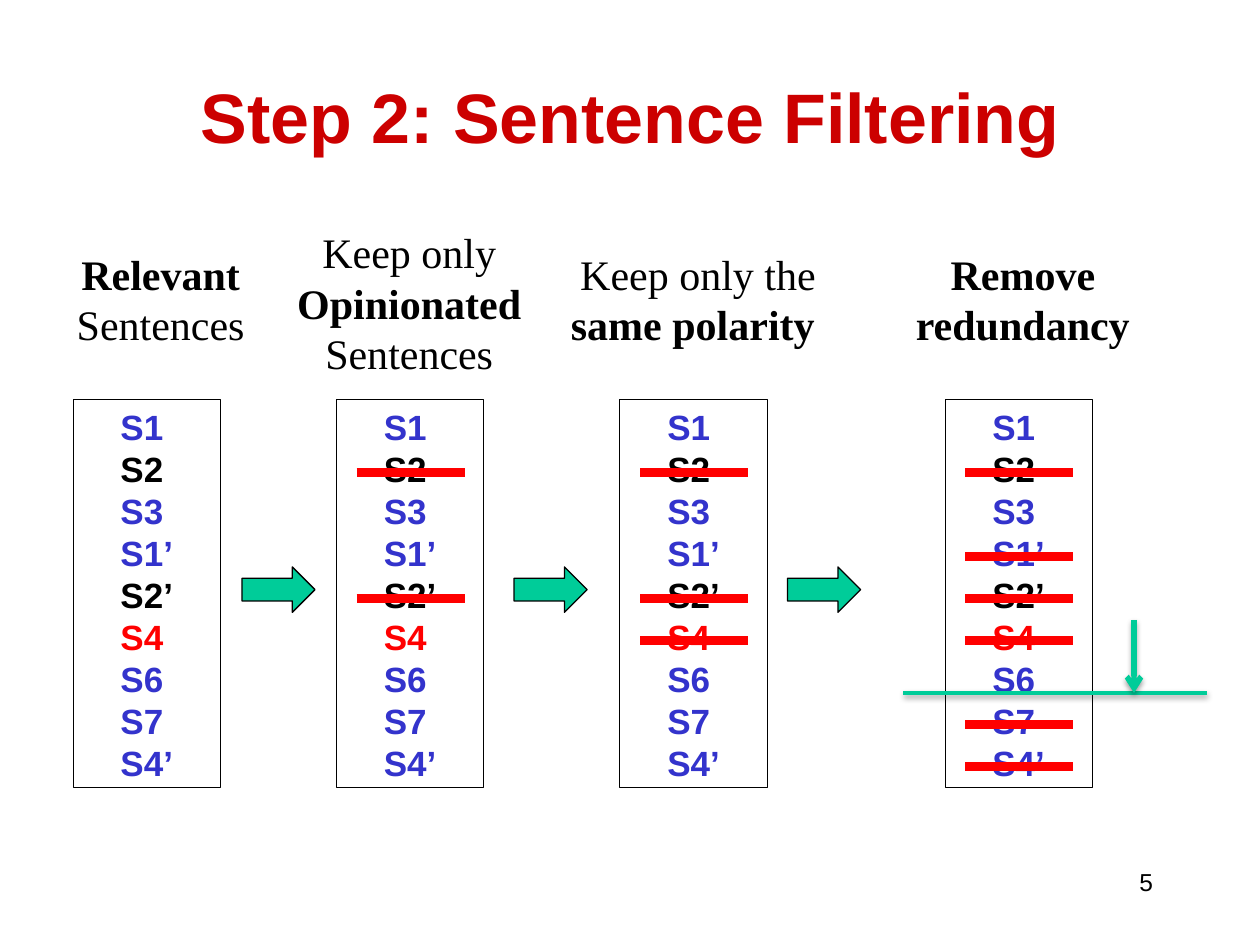
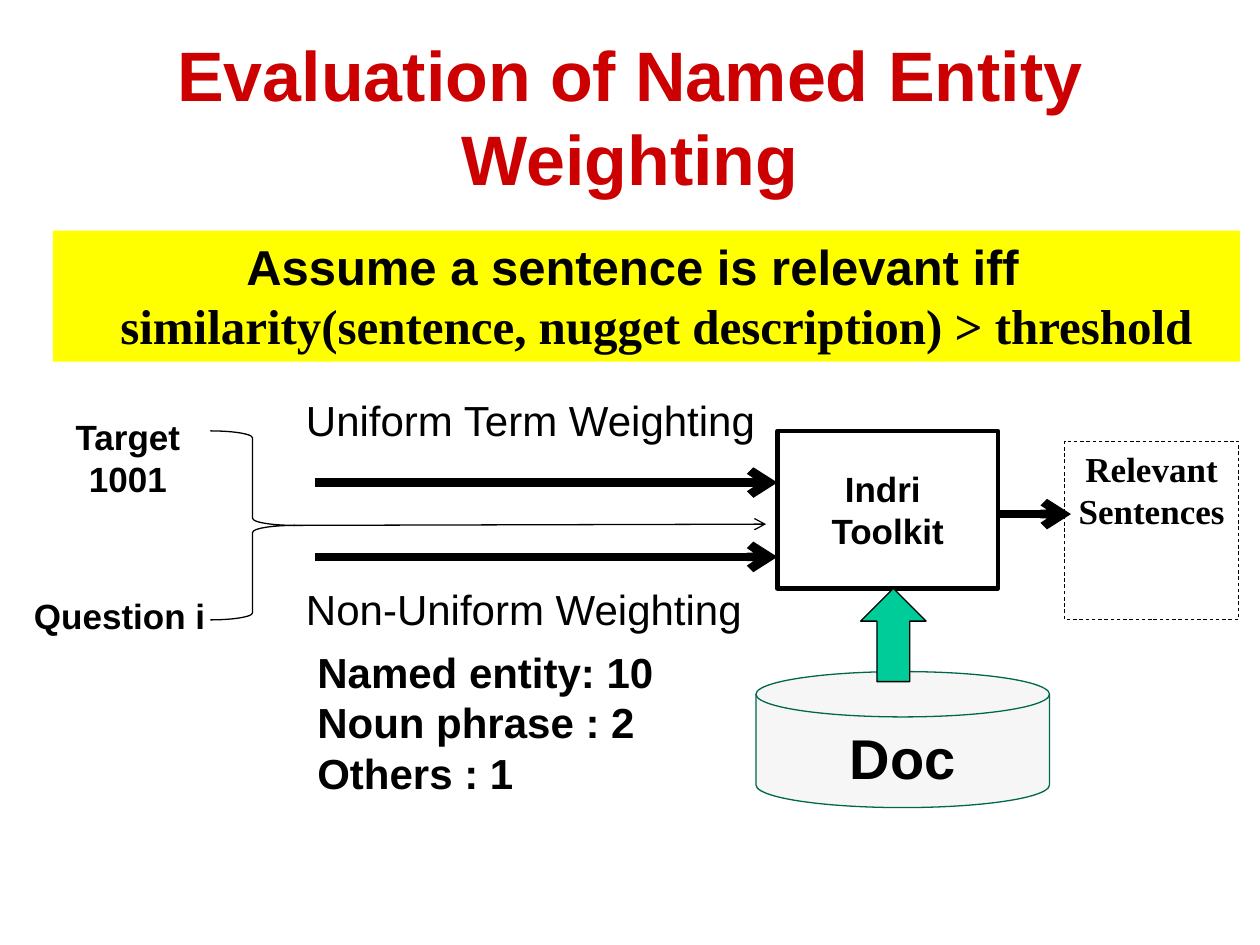
from lxml import etree
from pptx import Presentation
from pptx import util as u
from pptx.dml.color import RGBColor
from pptx.enum import dml, shapes, text
from pptx.oxml.ns import qn

EMU_PER_PX = 9144  # 100 px to the inch
COLORS = {
    "title": "CC0000", "ink": "000000", "paper": "FFFFFF", "positive": "3333CC",
    "negative": "FF0000", "green": "00CC99", "dark_green": "00664D",
    "disk": "F2F2F2", "banner": "FFFF00",
}
SANS, SERIF = "Arial", "Times New Roman"
LEFT, CENTER, RIGHT = text.PP_ALIGN.LEFT, text.PP_ALIGN.CENTER, text.PP_ALIGN.RIGHT
TOP, MIDDLE = text.MSO_ANCHOR.TOP, text.MSO_ANCHOR.MIDDLE
SHAPE = shapes.MSO_SHAPE

# Sentence filtering content
PRIME = "’"
SENTENCES = [("S1", "positive"), ("S2", "ink"), ("S3", "positive"),
             ("S1’", "positive"), ("S2’", "ink"), ("S4", "negative"),
             ("S6", "positive"), ("S7", "positive"), ("S4’", "positive")]
LIST_TOP, ROW_STEP = 317, 100 / 3
# Each step: list left, heading box, heading lines with boldness, struck rows
STEPS = [
    (58, (50, 192, 155, 91), [("Relevant", True), ("Sentences", False)], []),
    (267, (225, 175, 208, 131),
     [("Keep only ", False), ("Opinionated ", True), ("Sentences ", False)], [1, 4]),
    (492, (442, 192, 224, 91),
     [("Keep only the", False), ("same polarity ", True)], [1, 4, 5]),
    (750, (716, 192, 200, 91),
     [("Remove ", True), ("redundancy ", True)], [1, 3, 4, 5, 7, 8]),
]
FLOW_ARROW_LEFTS = [192, 408, 625]


def px(length):
    return u.Emu(round(length * EMU_PER_PX))


def rgb(name):
    return RGBColor.from_string(COLORS[name])


def write(frame, paragraphs, size=20, font=SANS, color="ink", bold=False,
          align=CENTER, anchor=TOP, wrap=True, indent=0, right=10):
    """Fill a frame; a paragraph is a string or a list of (string, its own format)."""
    frame.auto_size = text.MSO_AUTO_SIZE.NONE
    frame.word_wrap = wrap
    frame.vertical_anchor = anchor
    frame.margin_left, frame.margin_right = px(10), px(right)
    frame.margin_top = frame.margin_bottom = px(5)
    for i, entry in enumerate(paragraphs):
        paragraph = frame.paragraphs[0] if i == 0 else frame.add_paragraph()
        paragraph.alignment = align
        paragraph.line_spacing = u.Pt(size * 1.2)
        for words, own in [(entry, {})] if isinstance(entry, str) else entry:
            look = {"font": font, "color": color, "bold": bold, "indent": indent, **own}
            if look["indent"]:
                paragraph._p.get_or_add_pPr().set("marL", str(px(look["indent"])))
            run = paragraph.add_run()
            run.text = words
            run.font.size = u.Pt(size)
            run.font.name = look["font"]
            run.font.bold = look["bold"]
            run.font.color.rgb = rgb(look["color"])


def add_label(slide, box, paragraphs, **look):
    label = slide.shapes.add_textbox(*map(px, box))
    write(label.text_frame, paragraphs, **look)


def add_box(slide, kind, box, fill=None, line=None, width=0.75, dash=None):
    figure = slide.shapes.add_shape(kind, *map(px, box))
    figure.shadow.inherit = False
    if fill:
        figure.fill.solid()
        figure.fill.fore_color.rgb = rgb(fill)
    else:
        figure.fill.background()
    if line:
        figure.line.color.rgb = rgb(line)
        figure.line.width = u.Pt(width)
        figure.line.dash_style = dash
    else:
        figure.line.fill.background()
    return figure


def add_line(slide, start, end, color="ink", width=5, arrow=False, shadow=False):
    line = slide.shapes.add_connector(
        shapes.MSO_CONNECTOR.STRAIGHT, *map(px, (*start, *end)))
    line.line.color.rgb = rgb(color)
    line.line.width = u.Pt(width)
    if arrow:
        etree.SubElement(line.line._get_or_add_ln(), qn("a:tailEnd"), type="arrow")
    effects = etree.SubElement(line._element.spPr, qn("a:effectLst"))
    if shadow:
        outer = etree.SubElement(effects, qn("a:outerShdw"), blurRad="40000",
                                 dist="20000", dir="5400000", rotWithShape="0")
        tint = etree.SubElement(outer, qn("a:srgbClr"), val=COLORS["ink"])
        etree.SubElement(tint, qn("a:alpha"), val="38000")


def add_titled_slide(deck, heading):
    slide = deck.slides.add_slide(deck.slide_layouts[5])
    title = slide.shapes.title
    title.left, title.top, title.width, title.height = map(px, (0, 33, 1000, 117))
    write(title.text_frame, [heading], size=40, color="title", bold=True,
          anchor=MIDDLE)
    return slide


def sentence_runs(name, color):
    """Balance an unprimed name with a paper-coloured prime so the names align."""
    runs = [(name, {"color": color})]
    if not name.endswith(PRIME):
        runs.append((PRIME, {"color": "paper"}))
    return runs


def add_filter_step(slide, left, heading_box, heading, struck_rows):
    add_label(slide, heading_box, [[(words, {"bold": bold})] for words, bold in heading],
              size=24, font=SERIF, wrap=False)
    sentence_list = add_box(slide, SHAPE.RECTANGLE, (left, LIST_TOP, 117, 308),
                            "paper", "ink", 0.5)
    write(sentence_list.text_frame,
          [sentence_runs(*sentence) for sentence in SENTENCES], bold=True)
    for row in struck_rows:
        y = LIST_TOP + 58 + (row - 1) * ROW_STEP
        add_line(slide, (left + 16, y), (left + 102, y), "negative", 5.5)


def build_filtering(deck):
    slide = add_titled_slide(deck, "Step 2: Sentence Filtering")
    add_label(slide, (717, 683, 208, 50), ["5"], size=14, align=RIGHT)
    for step in STEPS:
        add_filter_step(slide, *step)
    for left in FLOW_ARROW_LEFTS:
        add_box(slide, SHAPE.RIGHT_ARROW, (left, 450, 58, 36), "green", "ink")
    # Cut-off below the sentences that are kept
    add_line(slide, (717, 550), (958, 550), "green", 2, shadow=True)
    add_line(slide, (900, 492), (900, 550), "green", 3, arrow=True, shadow=True)


def build_evaluation(deck):
    slide = add_titled_slide(deck, "Evaluation of Named Entity Weighting")

    # Relevance assumption
    assumption = add_box(slide, SHAPE.RECTANGLE, (42, 183, 942, 104), "banner")
    write(assumption.text_frame,
          ["Assume a sentence is relevant iff",
           [("similarity(sentence, nugget description) > threshold",
             {"font": SERIF, "indent": 38})]],
          size=28, bold=True, right=32)

    # Query inputs
    add_label(slide, (49, 325, 105, 77), ["Target", "1001"], bold=True, wrap=False)
    add_label(slide, (17, 467, 156, 43), ["Question i"], bold=True, wrap=False)
    add_box(slide, SHAPE.RIGHT_BRACE, (167, 342, 67, 150), line="ink")

    # Document collection
    collection = add_box(slide, SHAPE.FLOWCHART_MAGNETIC_DISK, (600, 533, 233, 108),
                         "disk", "dark_green")
    tint = collection.fill._xPr.find(qn("a:solidFill"))[0]
    etree.SubElement(tint, qn("a:alpha"), val="63000")
    write(collection.text_frame, ["Doc"], size=32, bold=True)

    # Retrieval and its result
    toolkit = add_box(slide, SHAPE.RECTANGLE, (617, 342, 175, 125), "paper", "ink", 2.5)
    write(toolkit.text_frame, ["Indri ", "Toolkit"], bold=True, anchor=MIDDLE)
    result = add_box(slide, SHAPE.RECTANGLE, (845, 350, 138, 142), "paper", "ink", 0.5,
                     dml.MSO_LINE.DASH)
    write(result.text_frame, ["Relevant Sentences"], font=SERIF, bold=True)
    add_box(slide, SHAPE.UP_ARROW, (683, 467, 52, 74), "green", "ink")
    add_line(slide, (792, 408), (850, 408), arrow=True)

    # Weighting schemes
    for y in (383, 442):
        add_line(slide, (250, y), (617, y), arrow=True)
    add_line(slide, (233, 417), (608, 416), width=0.75, arrow=True)
    scheme = {"size": 24, "align": LEFT, "indent": 150}
    add_label(slide, (83, 308, 592, 50), ["Uniform Term Weighting"], **scheme)
    add_label(slide, (83, 458, 542, 50), ["Non-Uniform Weighting"], **scheme)
    add_label(slide, (92, 508, 675, 130),
              ["Named entity: 10", "Noun phrase : 2", "Others : 1"],
              bold=True, **scheme)


def main():
    deck = Presentation()
    deck.slide_width, deck.slide_height = px(1000), px(750)
    build_filtering(deck)
    build_evaluation(deck)
    deck.save("out.pptx")


if __name__ == "__main__":
    main()
